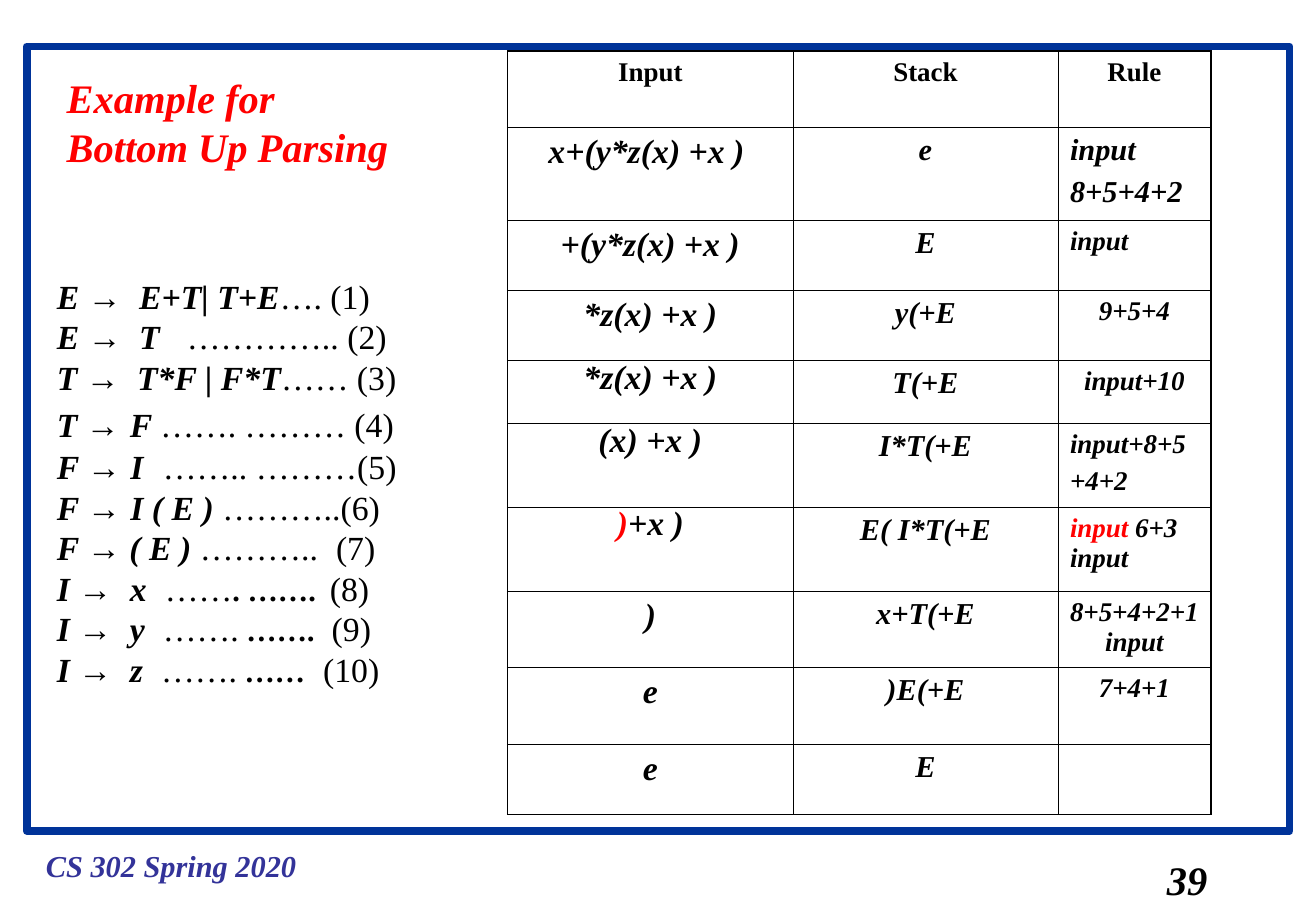
from dataclasses import dataclass, field

from lxml.etree import SubElement
from pptx import Presentation
from pptx.dml.color import RGBColor
from pptx.enum.shapes import MSO_SHAPE
from pptx.enum.text import MSO_ANCHOR, MSO_AUTO_SIZE, PP_ALIGN
from pptx.oxml.ns import qn
from pptx.util import Cm, Pt

SERIF, SANS = "Times New Roman", "Arial"
BLACK, RED = "000000", "FF0000"
LEFT, CENTER = PP_ALIGN.LEFT, PP_ALIGN.CENTER


def style(size, bold=True, italic=True, color=BLACK, name=SERIF):
    return {"size": Pt(size), "bold": bold, "italic": italic,
            "name": name, "color": RGBColor.from_string(color)}


@dataclass
class Theme:
    frame: str = "003399"
    frame_width: float = 4.5
    outer_border: float = 1.08
    inner_border: float = 0.45
    styles: dict = field(default_factory=lambda: {
        "title": style(24, color=RED),
        "footer": style(18, color="333399"),
        "number": style(24),
        "symbol": style(20),
        "arrow": style(20, name=SANS),
        "dots": style(20, bold=False, italic=False),
        "wide": style(24, bold=False, italic=False),
        "small dots": style(18, italic=False),
        "slanted dots": style(18),
        "header": style(16, italic=False),
        "input": style(20),
        "input red": style(20, color=RED),
        "stack": style(18),
        "rule": style(16),
        "rule red": style(16, color=RED),
    })


class SlideBuilder:
    def __init__(self, deck, theme):
        self.theme = theme
        self.page = deck.slides.add_slide(deck.slide_layouts[5])

    def add_paragraphs(self, text_frame, paragraphs, align=LEFT, spacing=1.0, before=0):
        """Fill a text frame; each paragraph is a list of (style, text) pairs."""
        for index, pairs in enumerate(paragraphs):
            para = text_frame.add_paragraph() if index else text_frame.paragraphs[0]
            para.alignment = align
            para.line_spacing = spacing
            para.space_before = Pt(before if index else 0)
            for style_name, text in pairs:
                span = para.add_run()
                span.text = text
                look = dict(self.theme.styles[style_name])
                span.font.color.rgb = look.pop("color")
                for name, value in look.items():
                    setattr(span.font, name, value)

    def place(self, shape, left, top, width, height):
        for name, value in zip(("left", "top", "width", "height"),
                               (left, top, width, height)):
            setattr(shape, name, Cm(value))
        settings = {"word_wrap": True, "auto_size": MSO_AUTO_SIZE.NONE,
                    "vertical_anchor": MSO_ANCHOR.TOP}
        for name, value in settings.items():
            setattr(shape.text_frame, name, value)

    def frame(self, left, top, width, height):
        box = self.page.shapes.add_shape(
            MSO_SHAPE.RECTANGLE, Cm(left), Cm(top), Cm(width), Cm(height))
        box.shadow.inherit = False
        box.fill.background()
        box.line.color.rgb = RGBColor.from_string(self.theme.frame)
        box.line.width = Pt(self.theme.frame_width)

    def title(self, lines, *place):
        box = self.page.shapes.title
        self.place(box, *place)
        self.add_paragraphs(box.text_frame, [[("title", line)] for line in lines])

    def text(self, paragraphs, *place):
        box = self.page.shapes.add_textbox(0, 0, 0, 0)
        self.place(box, *place)
        self.add_paragraphs(box.text_frame, paragraphs)
        return box.text_frame

    def tab_stops(self, para, stops):
        if stops:
            tab_list = SubElement(para._p.get_or_add_pPr(), qn("a:tabLst"))
            for stop in stops:
                SubElement(tab_list, qn("a:tab"), pos=str(Cm(stop)), algn="l")

    def borders(self, cell, outer_sides):
        properties = cell._tc.get_or_add_tcPr()
        for side in "LRTB":
            width = self.theme.outer_border if side in outer_sides else self.theme.inner_border
            line = SubElement(properties, qn(f"a:ln{side}"), w=str(Pt(width)))
            fill = SubElement(line, qn("a:solidFill"))
            SubElement(fill, qn("a:srgbClr"), val=BLACK)

    def table(self, left, top, widths, heights, rows):
        """Each cell is (paragraphs, formats for add_paragraphs)."""
        table = self.page.shapes.add_table(
            len(heights), len(widths), Cm(left), Cm(top),
            Cm(sum(widths)), Cm(sum(heights))).table
        table.first_row = table.horz_banding = False
        for column, width in zip(table.columns, widths):
            column.width = Cm(width)
        last_row, last_column = len(heights) - 1, len(widths) - 1
        for r, (height, cells) in enumerate(zip(heights, rows)):
            table.rows[r].height = Cm(height)
            for c, (paragraphs, formats) in enumerate(cells):
                cell = table.cell(r, c)
                edges = {"L": c == 0, "R": c == last_column, "T": r == 0, "B": r == last_row}
                self.borders(cell, [side for side, outer in edges.items() if outer])
                cell.fill.background()
                self.add_paragraphs(cell.text_frame, paragraphs, **formats)


# Symbol, arrow, body, remaining runs, tab stops in cm
GRAMMAR = [
    ("E", "→\t", "E+T| T+E", [("dots", "…. (1)")], [1.72]),
    ("E", "→\t", "T\t", [("dots", "………….. (2)")], [1.72, 2.72]),
    ("T", "→\t", "T*F | F*T", [("dots", "…… (3)")], [1.68]),
    ("T", "→", "", [("wide", " "), ("symbol", "F "), ("dots", "……. ……… (4)")], []),
    ("F", "→ ", "I\t", [("dots", "…….. ………(5)")], [2.22]),
    ("F", "→ ", "I ( E ) ", [("dots", "………..(6)")], []),
    ("F", "→", " ( E ) ", [("dots", "………..\t(7)")], [5.84]),
    ("I", "→\t", "x\t", [("dots", "……"), ("small dots", ". …….\t"), ("dots", "(8)")],
     [1.53, 2.26, 5.71]),
    ("I", "→\t", "y\t", [("dots", "……. "), ("slanted dots", "…….\t"), ("dots", "(9)")],
     [1.53, 2.22, 5.75]),
    ("I", "→\t", "z\t", [("dots", "……. "), ("slanted dots", "……\t"), ("dots", "(10)")],
     [1.53, 2.18, 5.57]),
]

CENTERED = {"align": CENTER}
TIGHT = {"align": CENTER, "spacing": 0.75}
RULE_LINES = {"align": LEFT, "before": 4}

# Input runs, input format, stack, rule paragraphs, rule format
STEPS = [
    ([("input", "x+(y*z(x) +x )"), ("stack", " ")], CENTERED, "e",
     [[("stack", "input")], [("stack", "8+5+4+2")]], {"align": LEFT, "before": 4.5}),
    ([("input", "+(y*z(x) +x )")], CENTERED, "E", [[("rule", "input")]], RULE_LINES),
    ([("input", "*z(x) +x )")], CENTERED, "y(+E", [[("rule", "9+5+4")]], CENTERED),
    ([("input", "*z(x) +x )")], TIGHT, "T(+E", [[("rule", "input+10")]], CENTERED),
    ([("input", "(x) +x )")], TIGHT, "I*T(+E",
     [[("rule", "input+8+5")], [("rule", "+4+2")]], RULE_LINES),
    ([("input red", ")"), ("input", "+x )")], TIGHT, "E( I*T(+E",
     [[("rule red", "input"), ("rule", " 6+3 input")]], RULE_LINES),
    ([("input", ")")], CENTERED, "x+T(+E", [[("rule", "8+5+4+2+1 input")]], CENTERED),
    ([("input", "e")], CENTERED, ")E(+E", [[("rule", "7+4+1")]], CENTERED),
    ([("input", "e")], CENTERED, "E", [], CENTERED),
]


def main():
    deck = Presentation()
    deck.slide_width, deck.slide_height = Cm(27.53), Cm(19.05)
    slide = SlideBuilder(deck, Theme())

    slide.frame(0.56, 0.97, 26.42, 16.41)
    slide.text([[("footer", "CS 302 Spring 2020")]], 0.71, 17.6, 6.2, 1.02)
    slide.title(["Example for", "Bottom Up Parsing"], 1.14, 1.4, 7.6, 2.29)

    productions = [[("symbol", f"{symbol} "), ("arrow", arrow)]
                   + ([("symbol", body)] if body else []) + rest
                   for symbol, arrow, body, rest, _ in GRAMMAR]
    grammar = slide.text(productions, 0.94, 5.64, 9.42, 9.75)
    for para, production in zip(grammar.paragraphs, GRAMMAR):
        slide.tab_stops(para, production[-1])

    header = [([[("header", name)]], CENTERED) for name in ("Input", "Stack", "Rule")]
    steps = [[([runs], input_format), ([[("stack", stack)]], CENTERED), (rule, rule_format)]
             for runs, input_format, stack, rule, rule_format in STEPS]
    slide.table(10.62, 1.07, [5.97, 5.54, 3.2],
                [1.6, 1.93, 1.47, 1.47, 1.32, 1.75, 1.75, 1.6, 1.6, 1.47],
                [header] + steps)
    slide.text([[("number", "39")]], 24.16, 17.75, 1.6, 1.27)
    deck.save("out.pptx")


if __name__ == "__main__":
    main()
